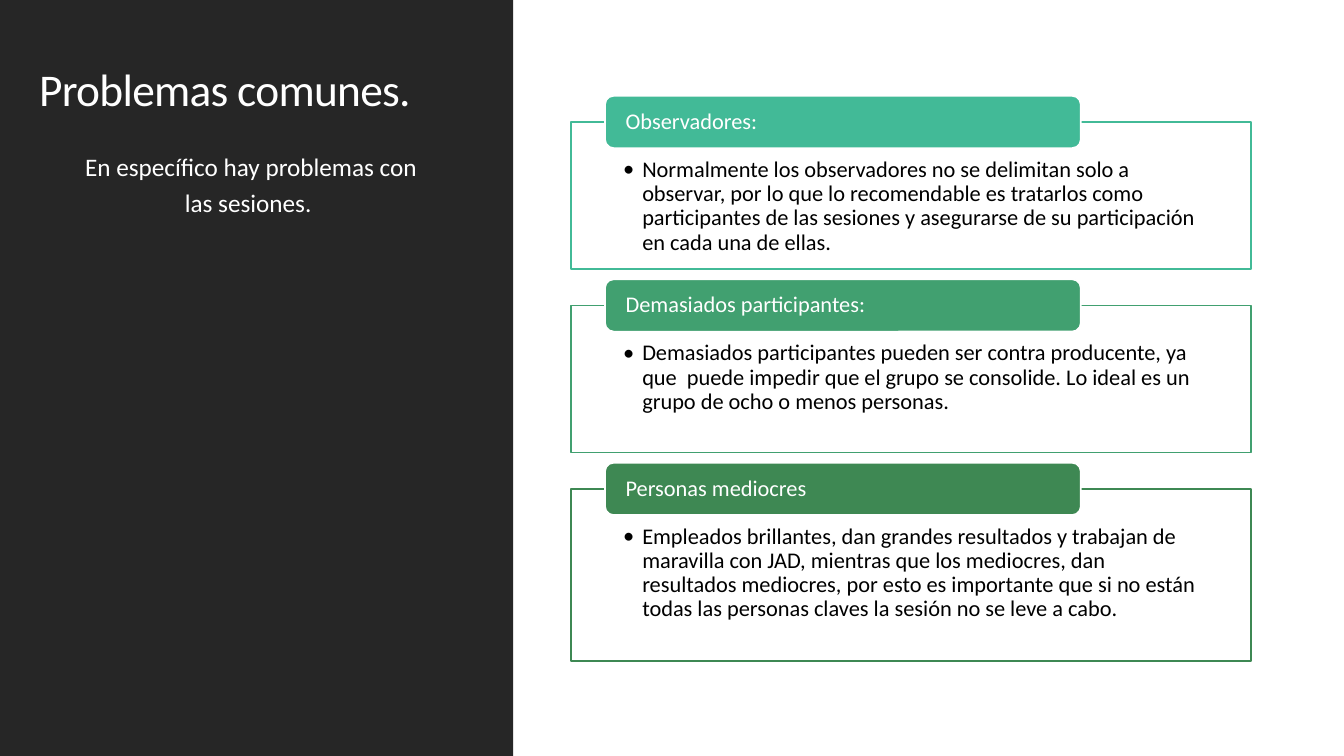
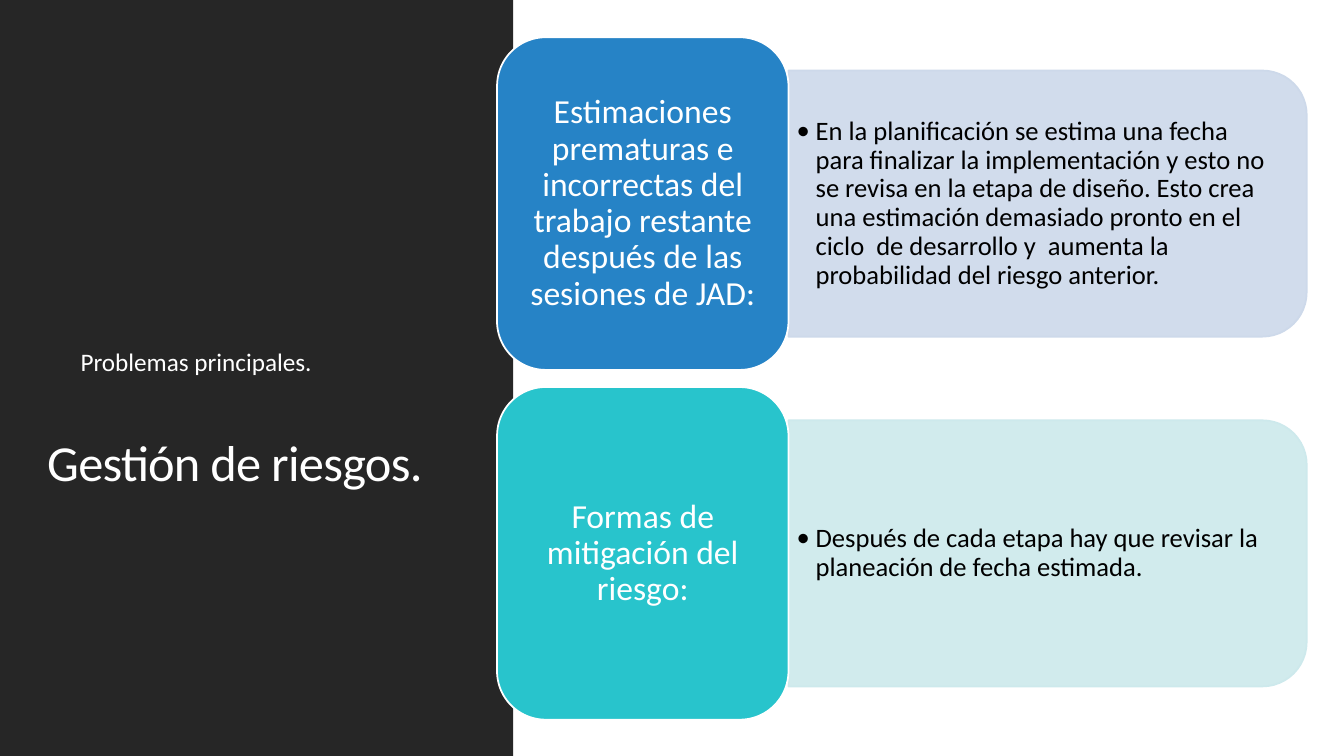
import pptx
import pptx.dml.color
import pptx.enum.shapes
import pptx.enum.text
import pptx.oxml
import pptx.oxml.ns
import pptx.util
from dataclasses import dataclass

Inches, Pt = pptx.util.Inches, pptx.util.Pt
SHAPE = pptx.enum.shapes.MSO_SHAPE
ALIGN = pptx.enum.text.PP_ALIGN
ANCHOR = pptx.enum.text.MSO_ANCHOR
qn = pptx.oxml.ns.qn
NAMESPACE = pptx.oxml.ns.nsdecls("a")


@dataclass(frozen=True)
class Theme:
    font: str = "Calibri"
    panel: str = "262626"
    light: str = "FFFFFF"
    dark: str = "000000"
    framed_title_size: float = 32.4
    risk_title_size: float = 36
    subtitle_size: float = 18
    heading_size: float = 16
    tile_size: float = 24
    detail_size: float = 19
    outline: float = 1.25


THEME = Theme()

# Content
COMMON_PROBLEMS = {
    "title": "Problemas comunes.",
    "subtitle": "En específico hay problemas con las sesiones. ",
    # heading, explanation, colour, frame height
    "items": [
        ("Observadores:",
         "Normalmente los observadores no se delimitan solo a observar, por lo que lo "
         "recomendable es tratarlos como participantes de las sesiones y asegurarse de "
         "su participación en cada una de ellas.",
         "42BA97", 1.46),
        ("Demasiados participantes:",
         "Demasiados participantes pueden ser contra producente, ya que  puede impedir "
         "que el grupo se consolide. Lo ideal es un grupo de ocho o menos personas.",
         "41A070", 1.46),
        ("Personas mediocres",
         "Empleados brillantes, dan grandes resultados y trabajan de maravilla con JAD, "
         "mientras que los mediocres, dan resultados mediocres, por esto es importante "
         "que si no están todas las personas claves la sesión no se leve a cabo.",
         "3E8853", 1.71),
    ],
}
RISK_MANAGEMENT = {
    "title": "Gestión de riesgos.",
    "subtitle": "Problemas principales.",
    # topic, detail, tile colour, band colour
    "items": [
        ("Estimaciones prematuras e incorrectas del trabajo restante después de las "
         "sesiones de JAD:",
         "En la planificación se estima una fecha  para finalizar la implementación y "
         "esto no se revisa en la etapa de diseño. Esto crea una estimación demasiado "
         "pronto en el ciclo  de desarrollo y  aumenta la probabilidad del riesgo "
         "anterior.",
         "2683C6", "CDD9EA"),
        ("Formas de mitigación del riesgo:",
         "Después de cada etapa hay que revisar la planeación de fecha estimada.",
         "28C4CC", "CDE9EC"),
    ],
}


# Helpers
def rgb(code):
    return pptx.dml.color.RGBColor.from_string(code)


def write(holder, text, *, size, color=THEME.light, align=ALIGN.LEFT, anchor=ANCHOR.TOP,
          insets=(0.1, 0.05, 0.1, 0.05), line=0.9, before=0, after=0,
          tracking=None, bullet=False):
    frame = holder.text_frame
    frame.word_wrap = True
    frame.vertical_anchor = anchor
    (frame.margin_left, frame.margin_top,
     frame.margin_right, frame.margin_bottom) = map(Inches, insets)
    paragraph = frame.paragraphs[0]
    paragraph.alignment = align
    paragraph.line_spacing = line
    paragraph.space_before, paragraph.space_after = Pt(before), Pt(after)
    run = paragraph.add_run()
    run.text = text
    run.font.name, run.font.size = THEME.font, Pt(size)
    run.font.color.rgb = rgb(color)
    if tracking is not None:
        run.font._element.set("spc", str(int(tracking * 100)))
    if bullet:
        properties = paragraph._p.get_or_add_pPr()
        properties.set("marL", str(Inches(0.19)))
        properties.set("indent", str(-Inches(0.19)))
        for mark in (f'buFont {NAMESPACE} typeface="{THEME.font}"',
                     f'buChar {NAMESPACE} char="•"'):
            properties.append(pptx.oxml.parse_xml(f"<a:{mark}/>"))


def add_box(slide, kind, area, fill, outline=None, opacity=None):
    box = slide.shapes.add_shape(kind, *map(Inches, area))
    box.shadow.inherit = False
    box.fill.solid()
    box.fill.fore_color.rgb = rgb(fill)
    if outline:
        box.line.color.rgb = rgb(outline)
        box.line.width = Pt(THEME.outline)
    else:
        box.line.fill.background()
    if opacity:
        color = box._element.spPr.find(qn("a:solidFill")).find(qn("a:srgbClr"))
        color.append(pptx.oxml.parse_xml(
            f'<a:alpha {NAMESPACE} val="{opacity * 1000}"/>'))
    return box


def add_text(slide, area, text, **style):
    write(slide.shapes.add_textbox(*map(Inches, area)), text, **style)


def start_slide(deck, content, title_area, title_size, subtitle_area, subtitle_align):
    slide = deck.slides.add_slide(deck.slide_layouts[6])
    add_box(slide, SHAPE.RECTANGLE, (0, 0, 5.09, 7.5), THEME.panel)
    add_text(slide, title_area, content["title"], size=title_size,
             anchor=ANCHOR.BOTTOM, tracking=-0.5)
    add_text(slide, subtitle_area, content["subtitle"], size=THEME.subtitle_size,
             align=subtitle_align, line=1.2, before=12, after=2)
    return slide


# Slide 1: framed explanations with overlapping headings
def build_common_problems(deck):
    slide = start_slide(deck, COMMON_PROBLEMS, (0.29, 0.28, 4.41, 0.92),
                        THEME.framed_title_size, (0.7, 1.39, 3.58, 1.5), ALIGN.CENTER)
    top, gap, overlap = 1.21, 0.36, 0.26
    for heading, explanation, color, height in COMMON_PROBLEMS["items"]:
        frame = add_box(slide, SHAPE.RECTANGLE, (5.66, top, 6.75, height),
                        THEME.light, color, opacity=90)
        write(frame, explanation, size=THEME.heading_size, color=THEME.dark,
              insets=(0.52, 0.36, 0.52, 0.12), bullet=True)
        label = add_box(slide, SHAPE.ROUNDED_RECTANGLE,
                        (6, top - overlap, 4.72, 2 * overlap), color, THEME.light)
        write(label, heading, size=THEME.heading_size, anchor=ANCHOR.MIDDLE,
              insets=(0.18, 0, 0.18, 0))
        top += height + gap


# Slide 2: topic tiles with detail bands to their right
def build_risk_management(deck):
    slide = start_slide(deck, RISK_MANAGEMENT, (0.37, 2.83, 4.41, 2.1),
                        THEME.risk_title_size, (0.7, 3.33, 3.85, 3.35), ALIGN.LEFT)
    left, first_top, tile_width, tile_height, pitch = 4.93, 0.37, 2.89, 3.3, 3.47
    band_left, band_width, band_height = left + tile_width, 5.14, 2.64
    for index, (topic, detail, color, band_color) in enumerate(RISK_MANAGEMENT["items"]):
        top = first_top + index * pitch
        middle = top + tile_height / 2
        # The band is an upright shape turned a quarter about its centre
        band = add_box(slide, SHAPE.ROUND_2_SAME_RECTANGLE,
                       (band_left + (band_width - band_height) / 2,
                        middle - band_width / 2, band_height, band_width),
                       band_color, band_color, opacity=90)
        band.rotation = 90
        add_text(slide, (band_left, middle - 1.19, 5.01, 2.38), detail,
                 size=THEME.detail_size, color=THEME.dark, anchor=ANCHOR.MIDDLE,
                 insets=(0.08, 0.04, 0.08, 0.04), bullet=True)
        tile = add_box(slide, SHAPE.ROUNDED_RECTANGLE,
                       (left, top, tile_width, tile_height), color, THEME.light)
        write(tile, topic, size=THEME.tile_size, align=ALIGN.CENTER,
              anchor=ANCHOR.MIDDLE)


def main():
    deck = pptx.Presentation()
    deck.slide_width, deck.slide_height = Inches(13.33), Inches(7.5)
    build_common_problems(deck)
    build_risk_management(deck)
    deck.save("out.pptx")


if __name__ == "__main__":
    main()
